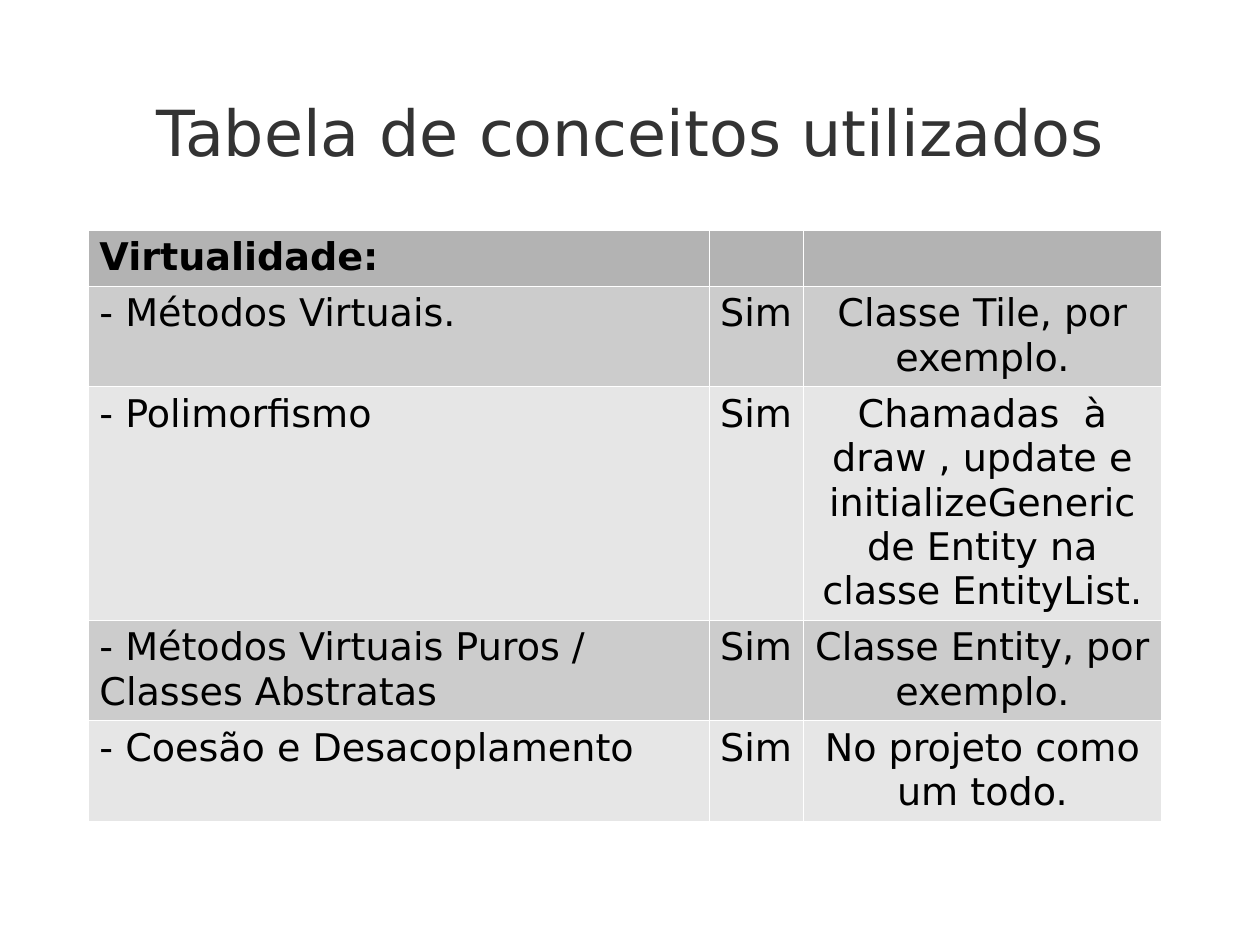
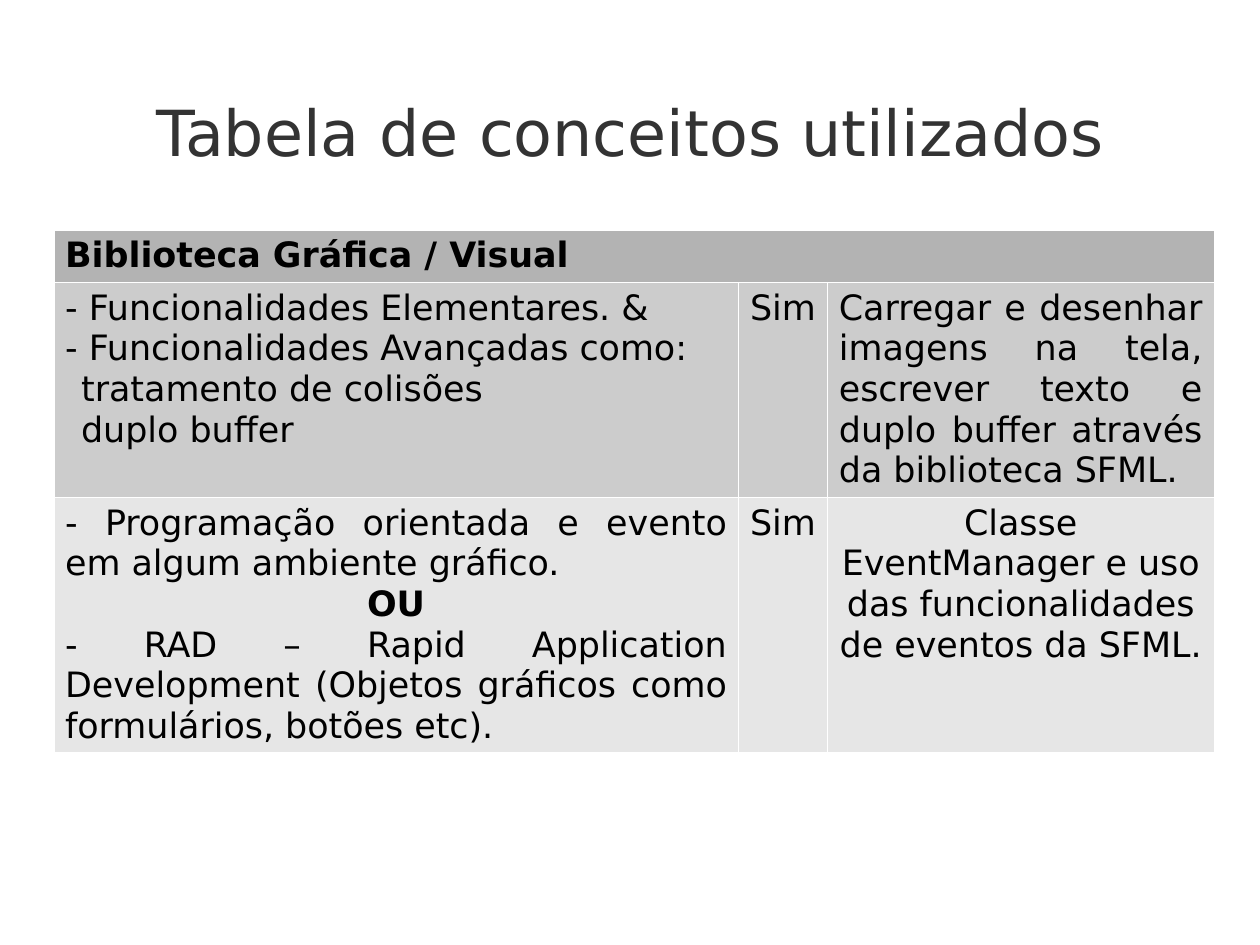
from lxml.etree import SubElement
from pptx import Presentation
from pptx.dml.color import RGBColor
from pptx.enum.text import MSO_ANCHOR, MSO_AUTO_SIZE, PP_ALIGN
from pptx.oxml.ns import qn
from pptx.util import Inches, Pt

LEFT, MID, JUST = PP_ALIGN.LEFT, PP_ALIGN.CENTER, PP_ALIGN.JUSTIFY


def color(code):
    """Turn a hex string into a colour."""
    return RGBColor.from_string(code)


class Deck:
    """Hold the shared style and the current slide."""

    font, ink, gray, line = "DejaVu Sans", "000000", "333333", "FFFFFF"
    head, bands = "B3B3B3", ("CCCCCC", "E6E6E6")

    def __init__(self):
        """Start an empty deck of 28 by 21 centimetres."""
        self.prs = Presentation()
        self.prs.slide_width = round(Inches(28) / 2.54)
        self.prs.slide_height = round(Inches(21) / 2.54)
        self.slide = None

    def run(self, para, text, size, code, bold=False):
        """Add one styled run."""
        run = para.add_run()
        run.text = text
        font = run.font
        font.name, font.size, font.bold = self.font, Pt(size), bold
        font.color.rgb = color(code)

    def page(self, text):
        """Add a slide with its title."""
        self.slide = self.prs.slides.add_slide(self.prs.slide_layouts[5])
        title = self.slide.shapes.title
        title.left, title.top = Inches(0.77), Inches(0.49)
        title.width, title.height = Inches(9.49), Inches(1.31)
        frame = title.text_frame
        frame.margin_left = frame.margin_right = 0
        frame.margin_top = frame.margin_bottom = 0
        frame.word_wrap = True
        frame.auto_size = MSO_AUTO_SIZE.NONE
        frame.vertical_anchor = MSO_ANCHOR.MIDDLE
        para = frame.paragraphs[0]
        para.alignment = MID
        self.run(para, text, 40, self.gray)

    def border(self, cell):
        """Draw thin lines on all sides of a cell."""
        props = cell._tc.get_or_add_tcPr()
        for side in ("a:lnL", "a:lnR", "a:lnT", "a:lnB"):
            edge = SubElement(props, qn(side), w=str(Pt(0.06)))
            fill = SubElement(edge, qn("a:solidFill"))
            SubElement(fill, qn("a:srgbClr"), val=self.line)

    def cell(self, cell, paras, size, fill, bold):
        """Fill a cell with paragraphs of align, text, weight and indent."""
        self.border(cell)
        cell.fill.solid()
        cell.fill.fore_color.rgb = color(fill)
        cell.margin_left = cell.margin_right = Inches(0.1)
        cell.margin_top = cell.margin_bottom = Inches(0.05)
        frame = cell.text_frame
        for num, (align, text, heavy, hang) in enumerate(paras):
            para = frame.add_paragraph() if num else frame.paragraphs[0]
            para.alignment = align
            if hang:
                props = para._p.get_or_add_pPr()
                props.set("marL", str(Inches(2 * hang)))
                props.set("indent", str(-Inches(hang)))
            self.run(para, text, size, self.ink, bold or heavy)

    def table(self, left, cols, highs, size, rows, span=False):
        """Add a banded table below the title."""
        shape = self.slide.shapes.add_table(
            len(rows), len(cols), Inches(left), Inches(2.01),
            Inches(sum(cols)), Inches(sum(highs)))
        table = shape.table
        table.horz_banding = False
        for col, wide in zip(table.columns, cols):
            col.width = Inches(wide)
        for num, (row, high, texts) in enumerate(zip(table.rows, highs, rows)):
            row.height = Inches(high)
            fill = self.bands[(num - 1) % 2] if num else self.head
            for cell, paras in zip(row.cells, texts):
                self.cell(cell, paras, size, fill, num == 0)
        if span:
            table.cell(0, 0).merge(table.cell(0, len(cols) - 1))


def part(align, text, heavy=False, hang=0):
    """Describe one paragraph."""
    return align, text, heavy, hang


def top(text):
    """Describe a header row."""
    return [[part(LEFT, text)], [], []]


def item(left, right):
    """Describe a row that answers Sim."""
    return [left, [part(MID, "Sim")], [right]]


def main():
    """Build both slides."""
    deck = Deck()
    title = "Tabela de conceitos utilizados"
    pairs = [
        ("- Métodos Virtuais.", "Classe Tile, por exemplo."),
        ("- Polimorfismo", "Chamadas  à draw , update e initializeGeneric "
         "de Entity na classe EntityList."),
        ("- Métodos Virtuais Puros / Classes Abstratas",
         "Classe Entity, por exemplo."),
        ("- Coesão e Desacoplamento", "No projeto como um todo."),
    ]
    deck.page(title)
    deck.table(0.77, (5.43, 0.83, 3.13), (0.49, 0.88, 2.04, 0.88, 0.88), 24,
               [top("Virtualidade:")]
               + [item([part(LEFT, a)], part(MID, b)) for a, b in pairs])

    tools = [
        part(JUST, "- Funcionalidades Elementares. &"),
        part(JUST, "- Funcionalidades Avançadas como:"),
        part(JUST, "tratamento de colisões ", hang=0.14),
        part(JUST, "duplo buffer", hang=0.14),
    ]
    events = [
        part(JUST, "- Programação orientada e evento em algum ambiente "
             "gráfico. "),
        part(MID, "OU", True),
        part(JUST, "- RAD – Rapid Application Development (Objetos gráficos "
             "como formulários, botões etc)."),
    ]
    deck.page(title)
    deck.table(0.47, (5.99, 0.78, 3.38), (0.46, 1.88, 2.23), 22, [
        top("Biblioteca Gráfica / Visual"),
        item(tools, part(JUST, "Carregar e desenhar imagens na tela, escrever "
                         "texto e duplo buffer através da biblioteca SFML.")),
        item(events, part(MID, "Classe EventManager e uso das "
                          "funcionalidades de eventos da SFML.")),
    ], span=True)
    deck.prs.save("out.pptx")


if __name__ == "__main__":
    main()
